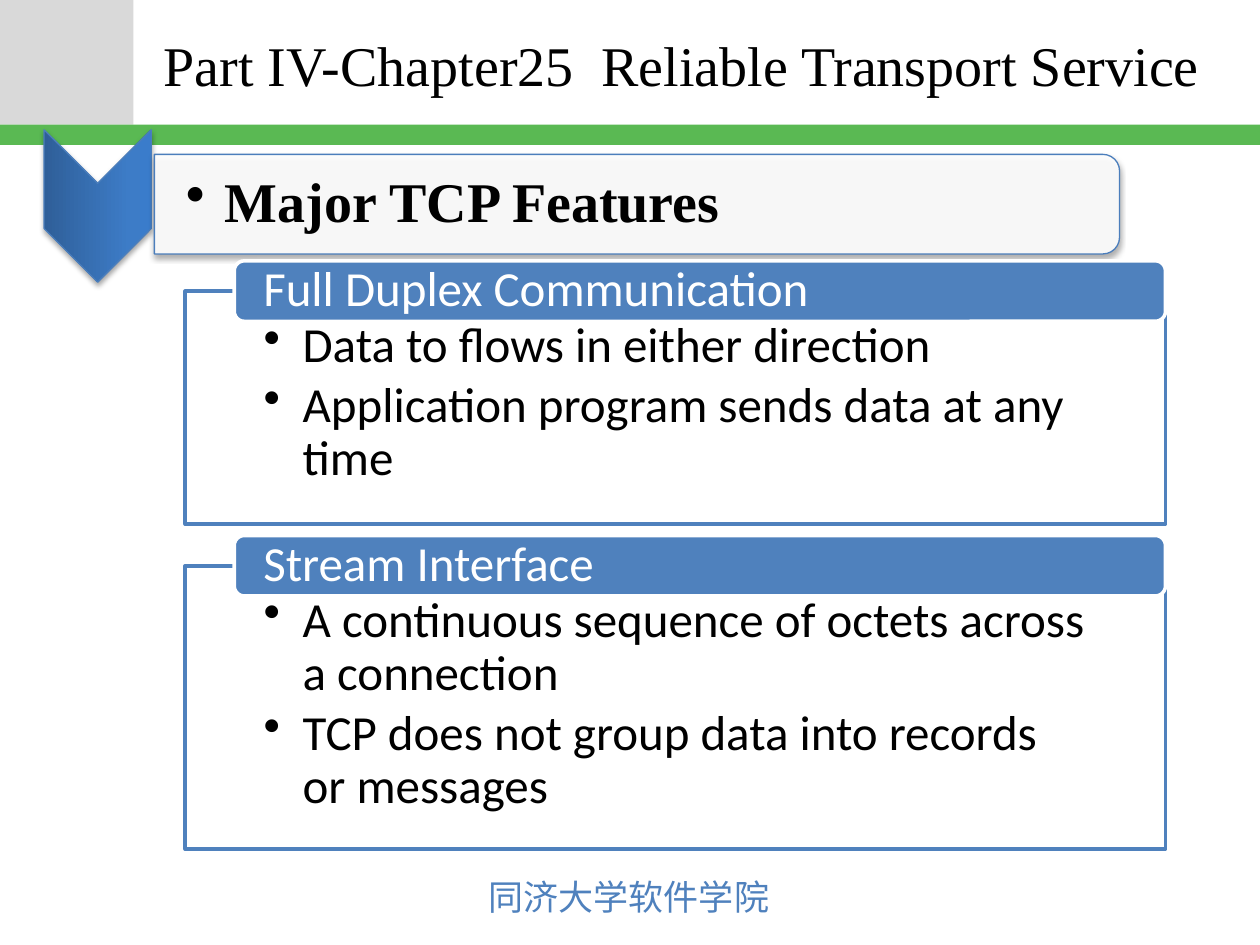
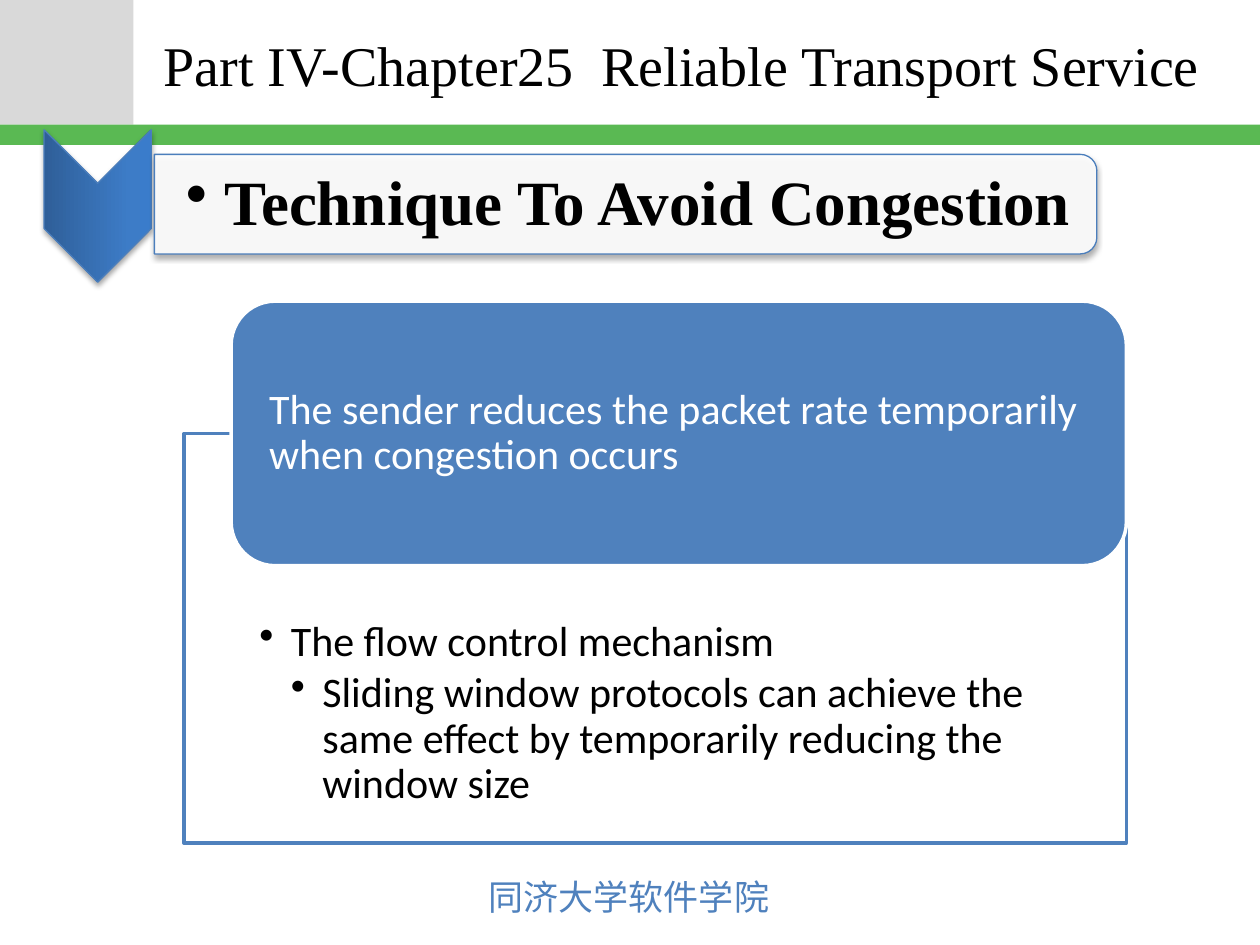
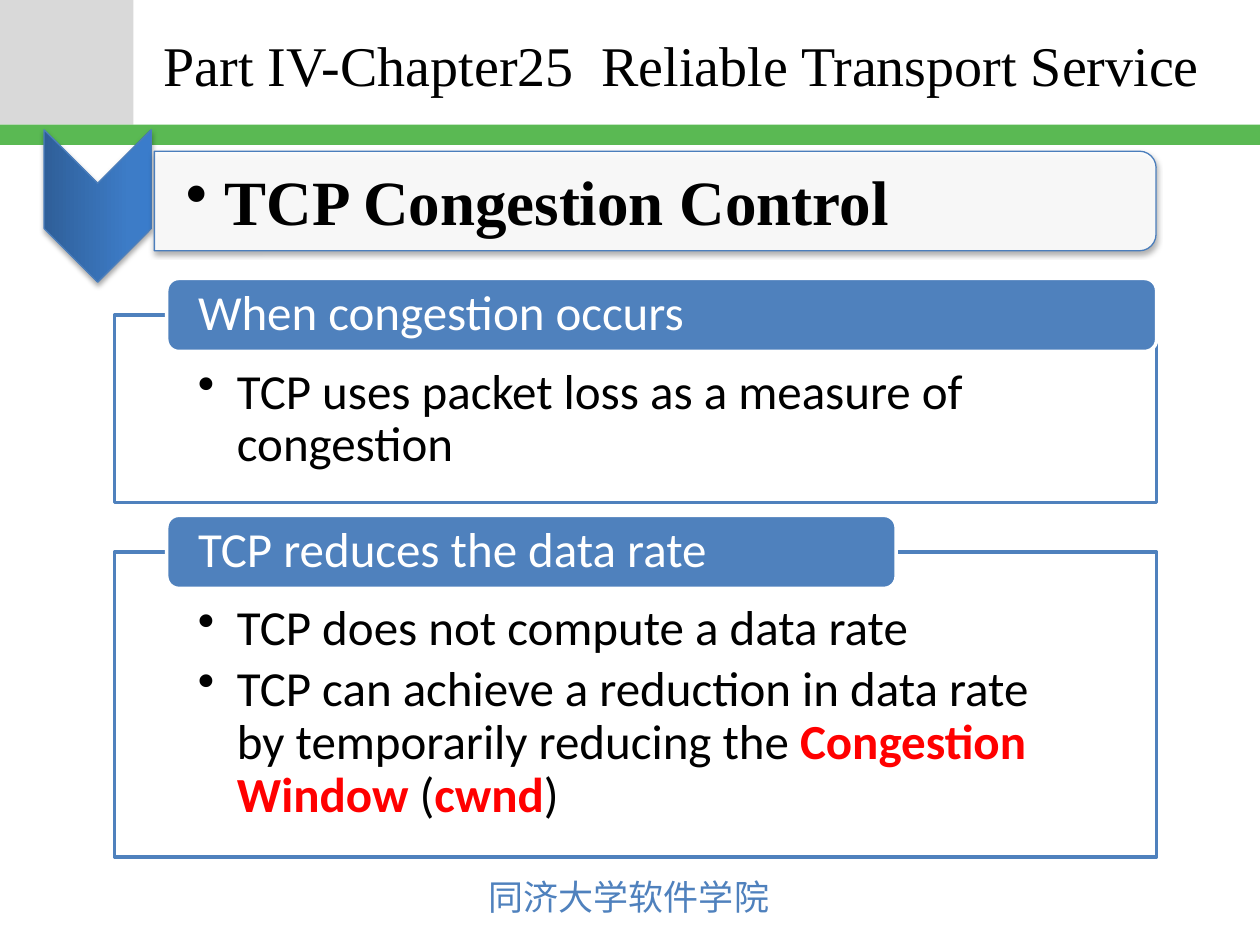
from dataclasses import dataclass

from lxml.etree import SubElement
from pptx import Presentation
from pptx.dml.color import RGBColor
from pptx.enum.shapes import MSO_SHAPE
from pptx.enum.text import MSO_ANCHOR, MSO_AUTO_SIZE, PP_ALIGN
from pptx.oxml.ns import qn
from pptx.util import Inches, Pt

RECT = MSO_SHAPE.RECTANGLE
ROUNDED = MSO_SHAPE.ROUNDED_RECTANGLE
ROUNDED_END = MSO_SHAPE.ROUND_2_SAME_RECTANGLE
CHEVRON = MSO_SHAPE.CHEVRON
TOP, MIDDLE = MSO_ANCHOR.TOP, MSO_ANCHOR.MIDDLE
LEFT = PP_ALIGN.LEFT
FIT_TEXT = MSO_AUTO_SIZE.SHAPE_TO_FIT_TEXT

SLIDE_WIDTH, SLIDE_HEIGHT = Inches(10), Inches(7.5)
COLUMNS, ROWS = 100, 75

CHAPTER = "Part IV-Chapter25  Reliable Transport Service"
SCHOOL = "同济大学软件学院"


@dataclass(frozen=True)
class Theme:
    ink: str = "000000"
    paper: str = "FFFFFF"
    accent: str = "4F81BD"
    edge: str = "4B7EBC"
    corner: str = "D9D9D9"
    band: str = "5AB953"
    alert: str = "FF0000"
    chevron: tuple = ((0, "2F5F99"), (80, "3D7CC7"), (100, "3A7CCB"))
    title_font: str = "Times New Roman"
    body_font: str = "Calibri"
    footer_font: str = "Noto Sans CJK JP"
    title_size: int = 32
    footer_size: int = 20
    topic_size: int = 36
    body_size: int = 28
    small_size: int = 24
    thin: float = 0.75
    thick: float = 2


def apply(target, **values):
    for name, value in values.items():
        setattr(target, name, value)


class Deck:
    """Holds the theme and current slide; lengths are grid columns and rows."""

    def __init__(self, theme):
        self.theme = theme
        self.presentation = Presentation()
        apply(self.presentation, slide_width=SLIDE_WIDTH, slide_height=SLIDE_HEIGHT)
        self.slide = None

    @staticmethod
    def x(columns):
        return round(SLIDE_WIDTH * columns / COLUMNS)

    @staticmethod
    def y(rows):
        return round(SLIDE_HEIGHT * rows / ROWS)

    def box(self, left, top, width, height):
        return self.x(left), self.y(top), self.x(width), self.y(height)

    def start_slide(self):
        theme = self.theme
        self.slide = self.presentation.slides.add_slide(self.presentation.slide_layouts[6])
        self.shape(RECT, (0, 0, 10.6, 9.9), theme.corner)
        self.shape(RECT, (0, 9.9, 100, 1.6), theme.band)
        footer = self.text_box((37.8, 69, 24.5, 4.4))
        self.set_text(footer, [SCHOOL], theme.footer_font, theme.footer_size, theme.accent,
                      line_spacing=1.0, word_wrap=False, auto_size=FIT_TEXT)
        title = self.text_box((12, 0.2, 86, 9.8))
        self.set_text(title, [CHAPTER], theme.title_font, theme.title_size, theme.ink,
                      line_spacing=1.0, vertical_anchor=MIDDLE)

    def shape(self, preset, box, fill=None, line=None, weight=0, opacity=100):
        shape = self.slide.shapes.add_shape(preset, *self.box(*box))
        shape.shadow.inherit = False
        if fill:
            shape.fill.solid()
            shape.fill.fore_color.rgb = RGBColor.from_string(fill)
        if opacity < 100:
            color = shape._element.spPr.find(f"{qn('a:solidFill')}/{qn('a:srgbClr')}")
            SubElement(color, qn("a:alpha"), val=str(opacity * 1000))
        if line:
            shape.line.color.rgb = RGBColor.from_string(line)
            shape.line.width = Pt(weight)
        else:
            shape.line.fill.background()
        return shape

    def turned_shape(self, preset, center, length, thickness, **style):
        """Add a shadowed shape turned a quarter clockwise about its center."""
        across, down = center
        box = (across - length / 2, down - thickness / 2, length, thickness)
        shape = self.shape(preset, box, line=self.theme.edge, weight=self.theme.thin, **style)
        shape.rotation = 90
        effects = shape._element.spPr.find(qn("a:effectLst"))
        shadow = SubElement(effects, qn("a:outerShdw"), blurRad=str(Pt(3.1)),
                            dist=str(Pt(1.8)), dir="5400000", rotWithShape="0")
        color = SubElement(shadow, qn("a:srgbClr"), val=self.theme.ink)
        SubElement(color, qn("a:alpha"), val="35000")
        return shape

    def text_box(self, box):
        return self.slide.shapes.add_textbox(*self.box(*box))

    def set_text(self, holder, paragraphs, font, size, color, bold=False, bullet_indent=0,
                 insets=None, line_spacing=0.9, **frame_values):
        """Fill a shape with paragraphs: a string, a list of runs, or (level, runs).

        A run is a string, or a one-item tuple when it is to stand out.
        """
        frame = holder.text_frame
        apply(frame, **{"word_wrap": True, "vertical_anchor": TOP, **frame_values})
        if insets:
            sides = ("margin_left", "margin_top", "margin_right", "margin_bottom")
            apply(frame, **{side: self.x(inset) for side, inset in zip(sides, insets)})
        for index, content in enumerate(paragraphs):
            level, runs = content if isinstance(content, tuple) else (0, content)
            paragraph = frame.add_paragraph() if index else frame.paragraphs[0]
            if bullet_indent:
                self.bullet(paragraph, level, bullet_indent)
            apply(paragraph, alignment=LEFT, level=level, line_spacing=line_spacing)
            if index:
                paragraph.space_before = Pt(0.15 * size)
            for words in [runs] if isinstance(runs, str) else runs:
                stands_out = isinstance(words, tuple)
                run = paragraph.add_run()
                run.text = words[0] if stands_out else words
                apply(run.font, name=font, size=Pt(size), bold=bold or stands_out)
                run.font.color.rgb = RGBColor.from_string(
                    self.theme.alert if stands_out else color)
                SubElement(run._r.get_or_add_rPr(), qn("a:ea"), typeface=font)

    def bullet(self, paragraph, level, indent):
        properties = paragraph._p.get_or_add_pPr()
        properties.set("marL", str(self.x(indent * (level + 1))))
        properties.set("indent", str(-self.x(indent)))
        SubElement(properties, qn("a:buChar"), char="•")

    def topic(self, words, length, size, middle=16.2):
        """Add the chevron and the banner that names the slide's topic."""
        theme = self.theme
        arrow = self.turned_shape(CHEVRON, (7.75, 16.35), 12.1, 8.5)
        arrow.fill.gradient()
        arrow.fill.gradient_angle = 90
        stops = arrow._element.spPr.find(f"{qn('a:gradFill')}/{qn('a:gsLst')}")
        stops.clear()
        for position, color in theme.chevron:
            stop = SubElement(stops, qn("a:gs"), pos=str(position * 1000))
            SubElement(stop, qn("a:srgbClr"), val=color)

        left = 12.25
        self.turned_shape(ROUNDED_END, (left + length / 2, middle), 7.9, length,
                          fill=theme.paper, opacity=90)
        label = self.text_box((left, 12.7, length - 0.3, 7.1))
        self.set_text(label, [words], theme.title_font, size, theme.ink, bold=True,
                      bullet_indent=3.1, insets=(2.5, 0.2, 0.2, 0.2),
                      vertical_anchor=MIDDLE)

    def panel(self, box, heading, points, heading_height, text_top, size,
              indent=3.1, heading_share=0.95):
        """Add an outlined panel with a heading centered on its top edge."""
        theme = self.theme
        left, top, width, _ = box
        side = 0.08 * width
        body = self.shape(RECT, box, theme.paper, theme.accent, theme.thick, opacity=90)
        self.set_text(body, points, theme.body_font, size, theme.ink,
                      bullet_indent=indent, insets=(side, text_top, side, 2.2))
        tab = self.shape(ROUNDED, (left + 0.05 * width, top - heading_height / 2,
                                   heading_share * width, heading_height),
                         theme.accent, theme.paper, theme.thick)
        pad = side / 3
        self.set_text(tab, [heading], theme.body_font, size, theme.paper,
                      insets=(pad, 0, pad, 0), vertical_anchor=MIDDLE)


def features_slide(deck):
    theme = deck.theme
    deck.start_slide()
    deck.topic("Major TCP Features", 76.6, theme.title_size)
    panels = (
        (23.1, 18.5, "Full Duplex Communication",
         ["Data to flows in either direction",
          "Application program sends data at any time"]),
        (44.9, 22.5, "Stream Interface",
         ["A continuous sequence of octets across a connection",
          "TCP does not group data into records or messages"]),
    )
    for top, height, heading, points in panels:
        deck.panel((14.7, top, 77.8, height), heading, points,
                   heading_height=4.8, text_top=2.3, size=theme.body_size)


def avoidance_slide(deck):
    theme = deck.theme
    deck.start_slide()
    deck.topic("Technique To Avoid Congestion", 74.8, theme.topic_size)
    deck.panel((14.6, 34.4, 74.8, 32.5),
               "The sender reduces the packet rate temporarily when congestion occurs",
               ["The flow control mechanism",
                (1, "Sliding window protocols can achieve the same effect "
                    "by temporarily reducing the window size")],
               heading_height=21, text_top=14.8, size=theme.small_size, indent=2.5)


def control_slide(deck):
    theme = deck.theme
    deck.start_slide()
    deck.topic("TCP Congestion Control", 79.5, theme.topic_size, middle=15.95)
    panels = (
        (25, 14.9, 0.95, "When congestion occurs",
         ["TCP uses packet loss as a measure of congestion"]),
        (43.8, 24.2, 0.7, "TCP reduces the data rate",
         ["TCP does not compute a data rate",
          ["TCP can achieve a reduction in data rate by temporarily reducing the ",
           ("Congestion Window",), " (", ("cwnd",), ")"]]),
    )
    for top, height, share, heading, points in panels:
        deck.panel((9.1, top, 82.7, height), heading, points, heading_height=5.8,
                   text_top=4.1, size=theme.body_size, heading_share=share)


def main():
    deck = Deck(Theme())
    features_slide(deck)
    avoidance_slide(deck)
    control_slide(deck)
    deck.presentation.save("out.pptx")


if __name__ == "__main__":
    main()
